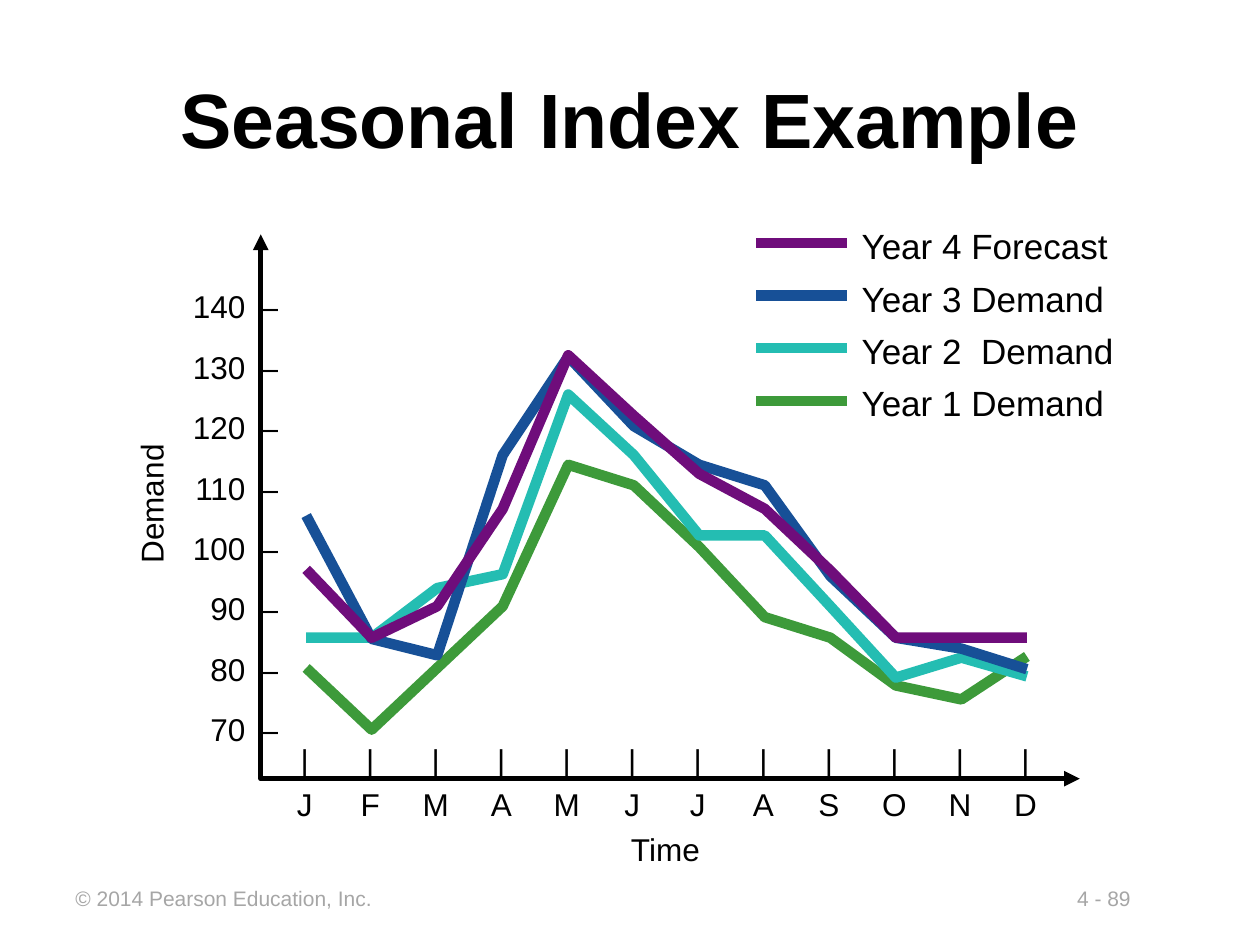
from lxml.etree import SubElement
from pptx import Presentation
from pptx.dml.color import RGBColor
from pptx.enum.shapes import MSO_CONNECTOR
from pptx.enum.text import MSO_ANCHOR, PP_ALIGN
from pptx.oxml.ns import qn
from pptx.util import Inches, Pt

BLACK = RGBColor(0x00, 0x00, 0x00)
GRAY = RGBColor(0xA6, 0xA6, 0xA6)
GREEN = RGBColor(0x3D, 0x9A, 0x3A)
TEAL = RGBColor(0x24, 0xBD, 0xB2)
BLUE = RGBColor(0x17, 0x50, 0x97)
PURPLE = RGBColor(0x6F, 0x0D, 0x7B)

TITLE = "Seasonal Index Example"
MONTHS = "JFMAMJJASOND"
TICKS = range(140, 60, -10)
SERIES = [  # back to front
    ("Year 1 Demand", GREEN,
     [80.8, 70.6, 80.8, 91, 114.4, 111, 100.8, 89.2, 85.8, 77.9, 75.6, 82.7]),
    ("Year 2  Demand", TEAL,
     [85.8, 85.8, 94, 96.3, 126, 116, 102.7, 102.7, 91, 79.2, 82.5, 79.4]),
    ("Year 3 Demand", BLUE,
     [106, 85.6, 82.9, 116, 132.3, 120.8, 114.4, 111, 96, 85.8, 84, 80.6]),
    ("Year 4 Forecast", PURPLE,
     [97.1, 85.8, 91, 107.1, 132.5, 122.5, 112.9, 107.1, 96.9, 85.8, 85.8, 85.8]),
]
LABELS = [  # text, box, size, colour, turn
    ("4 - 89", (8.45, 6.98, 1.2, 0.3), 12, GRAY, 0),
    ("© 2014 Pearson Education, Inc.", (0.5, 6.98, 2.7, 0.3), 12, GRAY, 0),
    ("Time", (4.91, 6.54, 0.8, 0.4), 18, BLACK, 0),
    ("Demand", (0.58, 3.75, 1.24, 0.4), 18, BLACK, 270),
]

# Plot grid: first month, month step, height of 70, inches per unit
LEFT, STEP = 2.43, 0.52
BASE, UNIT = 5.82, 0.048
AXIS = [(2.07, 1.86), (2.07, 6.18), (8.57, 6.18)]
KEY_X, KEY_Y, KEY_W, KEY_GAP = 6, 1.93, 0.72, 0.417

deck = Presentation()
deck.slide_width, deck.slide_height = Inches(10), Inches(7.5)
slide = deck.slides.add_slide(deck.slide_layouts[6])
shapes = slide.shapes


def add_text(lines, box, size, color=BLACK, space=1, tabs=()):
    """Add a text box; tabs holds (inches, alignment) pairs."""
    shape = shapes.add_textbox(*map(Inches, box))
    frame = shape.text_frame
    frame.word_wrap = False
    frame.text = "\n".join(lines)
    for para in frame.paragraphs:
        if tabs:
            stops = SubElement(para._p.get_or_add_pPr(), qn("a:tabLst"))
            for pos, align in tabs:
                SubElement(stops, qn("a:tab"), pos=str(Inches(pos)), algn=align)
        para.line_spacing = float(space)
        for run in para.runs:
            font = run.font
            font.name, font.size = "Arial", Pt(size)
            font.color.rgb = color
    return shape


def add_path(points, color, width, arrows=False):
    """Add an open line with round joins through the points."""
    spots = [(Inches(x), Inches(y)) for x, y in points]
    pen = shapes.build_freeform(*spots[0])
    pen.add_line_segments(spots[1:], close=False)
    shape = pen.convert_to_shape()
    shape.shadow.inherit = False
    shape.fill.background()
    shape.line.color.rgb = color
    shape.line.width = Pt(width)
    line = shape.line._get_or_add_ln()
    SubElement(line, qn("a:round"))
    if arrows:
        for end in ("a:headEnd", "a:tailEnd"):
            SubElement(line, qn(end), type="triangle")


def add_key(y, color):
    line = shapes.add_connector(
        MSO_CONNECTOR.STRAIGHT, Inches(KEY_X), Inches(y),
        Inches(KEY_X + KEY_W), Inches(y))
    line.line.color.rgb = color
    line.line.width = Pt(6)
    SubElement(line._element.spPr, qn("a:effectLst"))


title = add_text([TITLE], (0.75, 0.44, 8.5, 0.99), 44).text_frame
title.word_wrap = True
title.vertical_anchor = MSO_ANCHOR.MIDDLE
title.paragraphs[0].alignment = PP_ALIGN.CENTER
title.paragraphs[0].runs[0].font.bold = True

for text, box, size, color, turn in LABELS:
    add_text([text], box, size, color).rotation = turn

add_text([f"\t{tick}\t–" for tick in TICKS], (1.43, 2.05, 0.89, 3.94), 18,
         space=1.6, tabs=[(0.42, "r"), (0.54, "l")])
add_path(AXIS, BLACK, 3, arrows=True)
stops = [(0.21 + i * STEP, "ctr") for i in range(len(MONTHS))]
rows = ["|" * len(MONTHS), MONTHS]
add_text(["".join("\t" + mark for mark in row) for row in rows],
         (2.11, 5.79, 6.22, 0.79), 18, space=1.15, tabs=stops)

for name, color, values in SERIES:
    add_path([(LEFT + i * STEP, BASE - (value - 70) * UNIT)
              for i, value in enumerate(values)], color, 6)

legend = SERIES[::-1]
for i, (name, color, values) in enumerate(legend):
    add_key(KEY_Y + i * KEY_GAP, color)
add_text([name for name, color, values in legend],
         (6.74, 1.65, 2.3, 1.77), 20, space=1.25)

deck.save("out.pptx")
